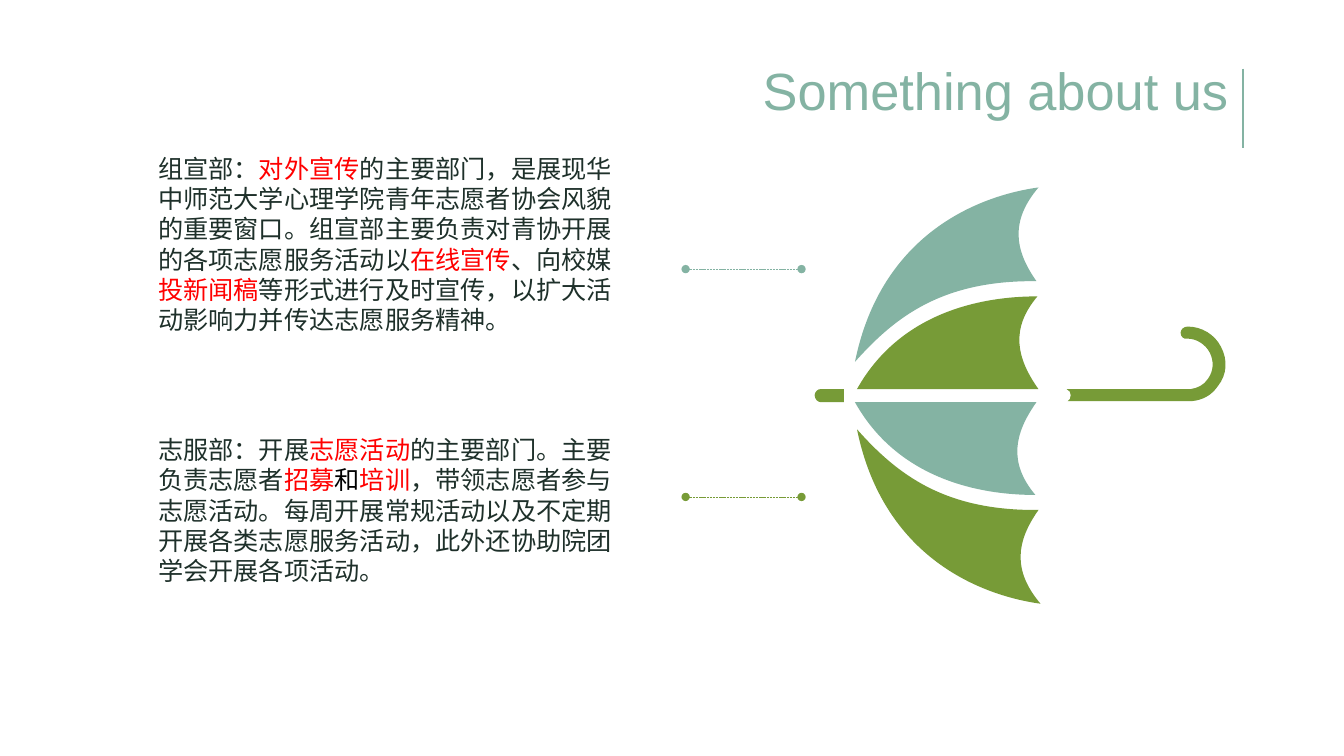
import pptx
import pptx.dml.color
import pptx.enum.dml
import pptx.enum.shapes
import pptx.enum.text
import pptx.oxml.ns
import pptx.util
from lxml import etree

Inches = pptx.util.Inches
Pt = pptx.util.Pt
qn = pptx.oxml.ns.qn
TEAL, GREEN, DARK, RED, BLACK = "84B3A3", "779B37", "1E302A", "FF0000", "000000"

# Outlines in inches from the umbrella's corner: a start, then segments,
# where one point is a line and three are a Bezier curve
OUTER_PANEL = [[(0.4, 1.73)], [(0.66, 0.45), (1.64, 0.08), (2.22, 0)],
               [(1.94, 0.33), (1.98, 0.62), (2.2, 0.93)],
               [(1.27, 0.92), (0.8, 1.28), (0.4, 1.73)]]
INNER_PANEL = [[(0.42, 2)], [(0.84, 1.25), (1.63, 1.08), (2.21, 1.08)],
               [(1.94, 1.4), (2, 1.69), (2.22, 2)]]
TIP = [[(0.06, 2)], [(0.29, 2)], [(0.29, 2.13)], [(0.06, 2.13)],
       [(0.03, 2.13), (0, 2.1), (0, 2.06)], [(0, 2.03), (0.03, 2), (0.06, 2)]]
HANDLE = [[(3.7, 1.38)], [(3.84, 1.38), (3.97, 1.46), (4.03, 1.58)],
          [(4.1, 1.71), (4.09, 1.86), (4, 1.97)],
          [(3.94, 2.06), (3.85, 2.11), (3.74, 2.12)], [(2.51, 2.12)],
          [(2.53, 2.11), (2.54, 2.09), (2.54, 2.06)],
          [(2.54, 2.04), (2.53, 2.01), (2.5, 2)], [(3.73, 2)],
          [(3.8, 1.99), (3.86, 1.96), (3.9, 1.9)],
          [(3.96, 1.82), (3.96, 1.72), (3.92, 1.64)],
          [(3.88, 1.56), (3.79, 1.5), (3.7, 1.5)],
          [(3.66, 1.51), (3.63, 1.48), (3.63, 1.44)],
          [(3.63, 1.41), (3.66, 1.38), (3.7, 1.38)]]
UMBRELLA_HEIGHT = 4.13

PUBLICITY = [("组宣部：", DARK), ("对外宣传", RED),
             ("的主要部门，是展现华中师范大学心理学院青年志愿者协会风貌的重要窗口。"
              "组宣部主要负责对青协开展的各项志愿服务活动以", DARK),
             ("在线宣传", RED), ("、向校媒", DARK), ("投新闻稿", RED),
             ("等形式进行及时宣传，以扩大活动影响力并传达志愿服务精神。", DARK)]
SERVICE = [("志服部：开展", DARK), ("志愿活动", RED), ("的主要部门。主要负责志愿者", DARK),
           ("招募", RED), ("和", BLACK), ("培训", RED),
           ("，带领志愿者参与志愿活动。每周开展常规活动以及不定期"
            "开展各类志愿服务活动，此外还协助院团学会开展各项活动。", DARK)]


def color(hex_value):
    return pptx.dml.color.RGBColor.from_string(hex_value)


def add_line(page, start, end, hex_value, width):
    line = page.shapes.add_connector(
        pptx.enum.shapes.MSO_CONNECTOR.STRAIGHT, *map(Inches, start + end))
    line.line.color.rgb = color(hex_value)
    line.line.width = Pt(width)
    etree.SubElement(line._element.spPr, qn("a:effectLst"))
    return line


def add_title(page, left, top, width, height):
    title = page.shapes.title
    title.left, title.top, title.width, title.height = map(Inches, (left, top, width, height))
    frame = title.text_frame
    frame.text = "Something about us"
    frame.vertical_anchor = pptx.enum.text.MSO_ANCHOR.BOTTOM
    frame.auto_size = pptx.enum.text.MSO_AUTO_SIZE.NONE
    para = frame.paragraphs[0]
    para.alignment = pptx.enum.text.PP_ALIGN.RIGHT
    para.line_spacing = 0.9
    font = para.runs[0].font
    font.name, font.size, font.color.rgb = "Arial", Pt(37.4), color(TEAL)
    # Rule to the right of the title
    rule_x = left + width + 0.04
    add_line(page, (rule_x, top + 0.09), (rule_x, top + 0.88), TEAL, 1.5)


def add_department(page, left, top, width, height, pieces):
    box = page.shapes.add_textbox(*map(Inches, (left, top, width, height)))
    box.text_frame.word_wrap = True
    para = box.text_frame.paragraphs[0]
    para.line_spacing = Pt(21.6)
    for words, hex_value in pieces:
        span = para.add_run()
        span.text = words
        font = span.font
        font.size, font.color.rgb = Pt(18), color(hex_value)
        font.name = "Noto Sans CJK SC"
        east_asian = etree.SubElement(span._r.get_or_add_rPr(), qn("a:ea"))
        east_asian.set("typeface", font.name)


def add_pointer(page, left, top, width, hex_value):
    pointer = add_line(page, (left + width, top), (left, top), hex_value, 0.5)
    pointer.line.dash_style = pptx.enum.dml.MSO_LINE.SQUARE_DOT
    for end in ("a:headEnd", "a:tailEnd"):
        dot = etree.SubElement(pointer.line._get_or_add_ln(), qn(end))
        dot.set("type", "oval")


def mirror(outline, shift):
    return [[(x + shift, UMBRELLA_HEIGHT - y) for x, y in segment] for segment in outline]


def add_part(group, left, top, outline, hex_value):
    placed = [[(Inches(left + x), Inches(top + y)) for x, y in segment] for segment in outline]
    builder = group.shapes.build_freeform(*placed[0][0])
    builder.add_line_segments([segment[-1] for segment in placed[1:]], close=True)
    part = builder.convert_to_shape()
    part.shadow.inherit = False
    part.fill.solid()
    part.fill.fore_color.rgb = color(hex_value)
    part.line.fill.background()
    # Bend the straight segments that have control points
    sides = list(part._element.iter(qn("a:lnTo")))
    for side, segment in zip(sides, placed[1:]):
        if len(segment) == 3:
            side.tag = qn("a:cubicBezTo")
            for index, (x, y) in enumerate(segment[:2]):
                control = etree.Element(qn("a:pt"), x=str(x - part.left), y=str(y - part.top))
                side.insert(index, control)


def add_umbrella(page, left, top):
    group = page.shapes.add_group_shape()
    parts = [(OUTER_PANEL, TEAL), (INNER_PANEL, GREEN),
             (mirror(INNER_PANEL, -0.02), TEAL), (mirror(OUTER_PANEL, 0.02), GREEN),
             (TIP, GREEN), (HANDLE, GREEN)]
    for outline, hex_value in parts:
        add_part(group, left, top, outline, hex_value)


def main():
    deck = pptx.Presentation()
    deck.slide_width, deck.slide_height = Inches(13.33), Inches(7.5)
    page = deck.slides.add_slide(deck.slide_layouts.get_by_name("Title Only"))
    add_title(page, 6.8, 0.59, 5.49, 0.67)
    add_umbrella(page, 8.08, 1.86)
    # Departments and their pointers
    add_pointer(page, 6.8, 2.67, 1.15, TEAL)
    add_pointer(page, 6.8, 4.93, 1.15, GREEN)
    add_department(page, 1.47, 1.47, 4.72, 1.92, PUBLICITY)
    add_department(page, 1.47, 4.26, 4.88, 1.62, SERVICE)
    deck.save("out.pptx")


if __name__ == "__main__":
    main()
